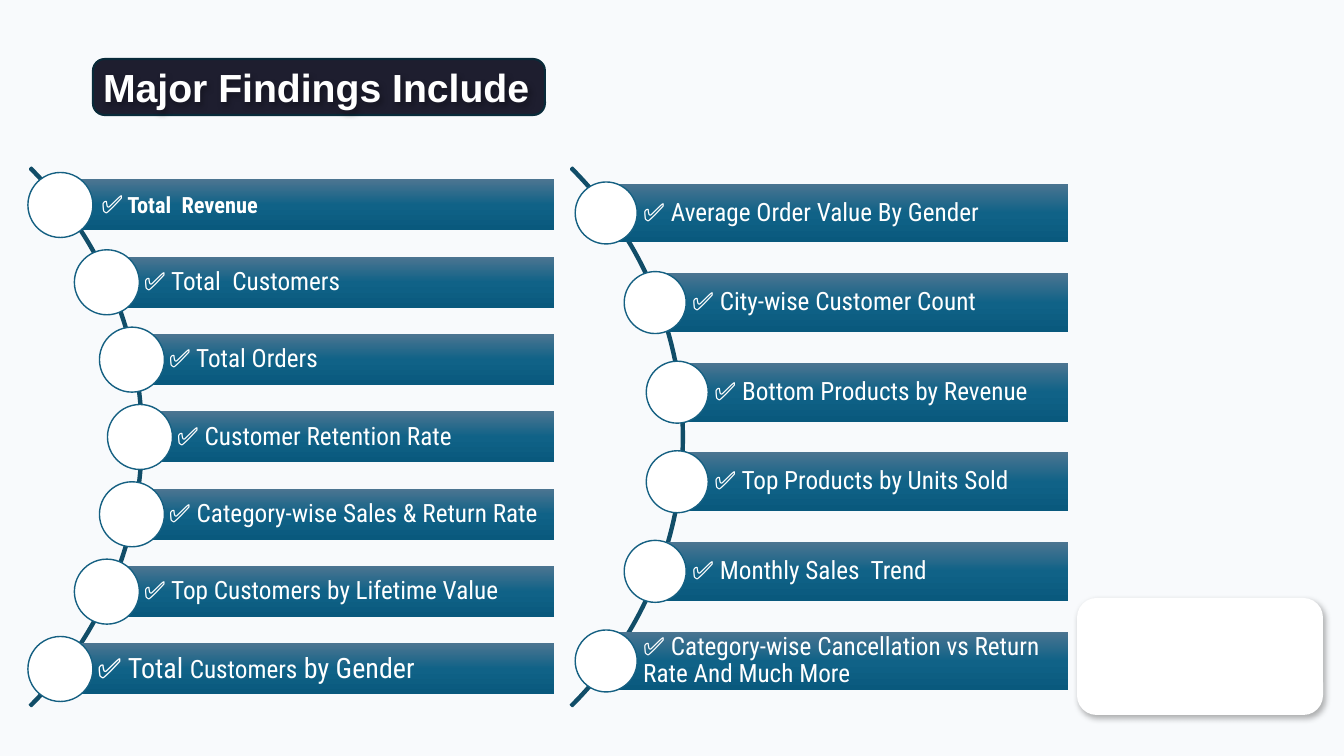
from dataclasses import dataclass
from math import sqrt

from lxml import etree
from pptx import Presentation
from pptx.dml.color import RGBColor
from pptx.enum.shapes import MSO_SHAPE
from pptx.enum.text import MSO_ANCHOR, MSO_AUTO_SIZE, PP_ALIGN
from pptx.oxml import parse_xml
from pptx.oxml.ns import nsdecls, qn
from pptx.shapes.autoshape import Shape
from pptx.shapes.shapetree import GroupShapes
from pptx.slide import Slide
from pptx.util import Emu, Pt

RECTANGLE = MSO_SHAPE.RECTANGLE
ROUNDED_RECTANGLE = MSO_SHAPE.ROUNDED_RECTANGLE
OVAL = MSO_SHAPE.OVAL
BLOCK_ARC = MSO_SHAPE.BLOCK_ARC
MIDDLE = MSO_ANCHOR.MIDDLE
TOP = MSO_ANCHOR.TOP
LEFT = PP_ALIGN.LEFT
NO_AUTOFIT = MSO_AUTO_SIZE.NONE

SLIDE_WIDTH = 1344
SLIDE_HEIGHT = 756
EMU_PER_PX = 12192000 / SLIDE_WIDTH
TITLE_ONLY_LAYOUT = 5


@dataclass(frozen=True)
class Theme:
    background: str = "F8FAFC"
    white: str = "FFFFFF"
    shadow: str = "000000"
    title_fill: str = "1E1E2F"
    title_line: str = "092A39"
    arc: str = "114D68"
    circle_line: str = "156082"
    bar_stops: tuple[tuple[int, str], ...] = (
        (0, "4C7591"), (50, "106287"), (100, "09597D"))
    title_font: str = "Arial"
    body_font: str = "Roboto Condensed"
    title_size: int = 28
    body_size: int = 18
    large_size: int = 20
    small_size: int = 16
    gap_size: int = 12


THEME = Theme()


@dataclass(frozen=True)
class TextRun:
    text: str
    size: int = THEME.body_size
    bold: bool = False


@dataclass(frozen=True)
class Finding:
    runs: tuple[TextRun, ...]
    inset: int = 37


@dataclass(frozen=True)
class Column:
    arc_center: int
    orbit: int
    span: int
    right: int
    bar_height: int
    circle: int
    findings: tuple[Finding, ...]


ARC_MIDDLE = 437
ARC_RADIUS = 381


def plain(text: str) -> Finding:
    return Finding((TextRun(text),))


COLUMNS = (
    Column(-238, 378, 464, 554, 51, 65, (
        Finding((TextRun("✅"), TextRun(" ", THEME.gap_size),
                 TextRun("Total  Revenue", THEME.small_size, True)), 41),
        plain("✅ Total  Customers"),
        plain("✅ Total Orders"),
        plain("✅ Customer Retention Rate"),
        plain("✅ Category-wise Sales & Return Rate"),
        plain("✅ Top Customers by Lifetime Value"),
        Finding((TextRun("✅ Total ", THEME.large_size), TextRun("Customers"),
                 TextRun(" by Gender", THEME.large_size))),
    )),
    Column(303, 377, 448, 1068, 59, 62, (
        plain("✅ Average Order Value By Gender"),
        plain("✅ City-wise Customer Count"),
        plain("✅ Bottom Products by Revenue"),
        plain("✅ Top Products by Units Sold"),
        plain("✅ Monthly Sales  Trend"),
        plain("✅ Category-wise Cancellation vs Return Rate And Much More"),
    )),
)


def px(length: float) -> Emu:
    return Emu(round(length * EMU_PER_PX))


def add_box(shapes: GroupShapes, kind: MSO_SHAPE, left: float, top: float,
            width: float, height: float, fill: str | None = None,
            line: str | None = None, line_width: float = 1) -> Shape:
    shape = shapes.add_shape(kind, px(left), px(top), px(width), px(height))
    shape.shadow.inherit = False
    if fill:
        shape.fill.solid()
        shape.fill.fore_color.rgb = RGBColor.from_string(fill)
    else:
        shape.fill.background()
    if line:
        shape.line.color.rgb = RGBColor.from_string(line)
        shape.line.width = Pt(line_width)
    else:
        shape.line.fill.background()
    return shape


def add_shadow(shape: Shape) -> None:
    shape.shadow.inherit = False
    effects = shape.element.spPr.find(qn("a:effectLst"))
    effects.append(parse_xml(
        f'<a:outerShdw {nsdecls("a")} blurRad="{Pt(4.5)}" dist="{Pt(2.6)}" '
        f'dir="{53 * 60000}" algn="tl" rotWithShape="0">'
        f'<a:srgbClr val="{THEME.shadow}"><a:alpha val="30000"/></a:srgbClr>'
        '</a:outerShdw>'))


def fill_bar(bar: Shape) -> None:
    bar.fill.gradient()
    bar.fill.gradient_angle = 270
    stops = bar.element.spPr.find(qn("a:gradFill")).find(qn("a:gsLst"))
    for stop in list(stops):
        stops.remove(stop)
    for position, color in THEME.bar_stops:
        stop = etree.SubElement(stops, qn("a:gs"), pos=str(position * 1000))
        etree.SubElement(stop, qn("a:srgbClr"), val=color)


def write_finding(bar: Shape, finding: Finding) -> None:
    frame = bar.text_frame
    frame.word_wrap = True
    frame.vertical_anchor = MIDDLE
    frame.margin_left = px(finding.inset)
    frame.margin_right = frame.margin_top = frame.margin_bottom = px(5)
    paragraph = frame.paragraphs[0]
    paragraph.alignment = LEFT
    paragraph.line_spacing = 0.9
    for part in finding.runs:
        run = paragraph.add_run()
        run.text = part.text
        run.font.name = THEME.body_font
        run.font.size = Pt(part.size)
        run.font.bold = part.bold
        run.font.color.rgb = RGBColor.from_string(THEME.white)


def draw_column(slide: Slide, column: Column) -> None:
    shapes = slide.shapes.add_group_shape().shapes
    arc = add_box(shapes, BLOCK_ARC, column.arc_center - ARC_RADIUS,
                  ARC_MIDDLE - ARC_RADIUS, 2 * ARC_RADIUS, 2 * ARC_RADIUS,
                  line=THEME.arc, line_width=1.5)
    for index, value in enumerate((189, 27, 0.003)):
        arc.adjustments[index] = value
    pitch = column.span / (len(column.findings) - 1)
    for index, finding in enumerate(column.findings):
        offset = index * pitch - column.span / 2
        center_x = column.arc_center + sqrt(column.orbit ** 2 - offset ** 2)
        center_y = ARC_MIDDLE + offset
        bar = add_box(shapes, RECTANGLE, center_x,
                      center_y - column.bar_height / 2,
                      column.right - center_x, column.bar_height)
        fill_bar(bar)
        write_finding(bar, finding)
        add_box(shapes, OVAL, center_x - column.circle / 2,
                center_y - column.circle / 2, column.circle, column.circle,
                THEME.white, THEME.circle_line)


def draw_title(slide: Slide) -> None:
    plate = add_box(slide.shapes, ROUNDED_RECTANGLE, 93, 59, 452, 56,
                    THEME.title_fill, THEME.title_line, 1.5)
    plate.adjustments[0] = 0.21
    title = slide.shapes.title
    title.left, title.top, title.width, title.height = map(px, (93, 58, 452, 57))
    plate.element.addnext(title.element)
    add_shadow(title)
    frame = title.text_frame
    frame.text = "Major Findings Include"
    frame.word_wrap = True
    frame.auto_size = NO_AUTOFIT
    frame.vertical_anchor = TOP
    paragraph = frame.paragraphs[0]
    paragraph.alignment = LEFT
    font = paragraph.runs[0].font
    font.name = THEME.title_font
    font.size = Pt(THEME.title_size)
    font.bold = True
    font.color.rgb = RGBColor.from_string(THEME.white)


def main() -> None:
    presentation = Presentation()
    presentation.slide_width = px(SLIDE_WIDTH)
    presentation.slide_height = px(SLIDE_HEIGHT)
    slide = presentation.slides.add_slide(
        presentation.slide_layouts[TITLE_ONLY_LAYOUT])
    slide.background.fill.solid()
    slide.background.fill.fore_color.rgb = RGBColor.from_string(THEME.background)
    card = add_box(slide.shapes, ROUNDED_RECTANGLE, 1077, 598, 246, 117, THEME.white)
    add_shadow(card)
    for column in COLUMNS:
        draw_column(slide, column)
    draw_title(slide)
    presentation.save("out.pptx")


if __name__ == "__main__":
    main()
